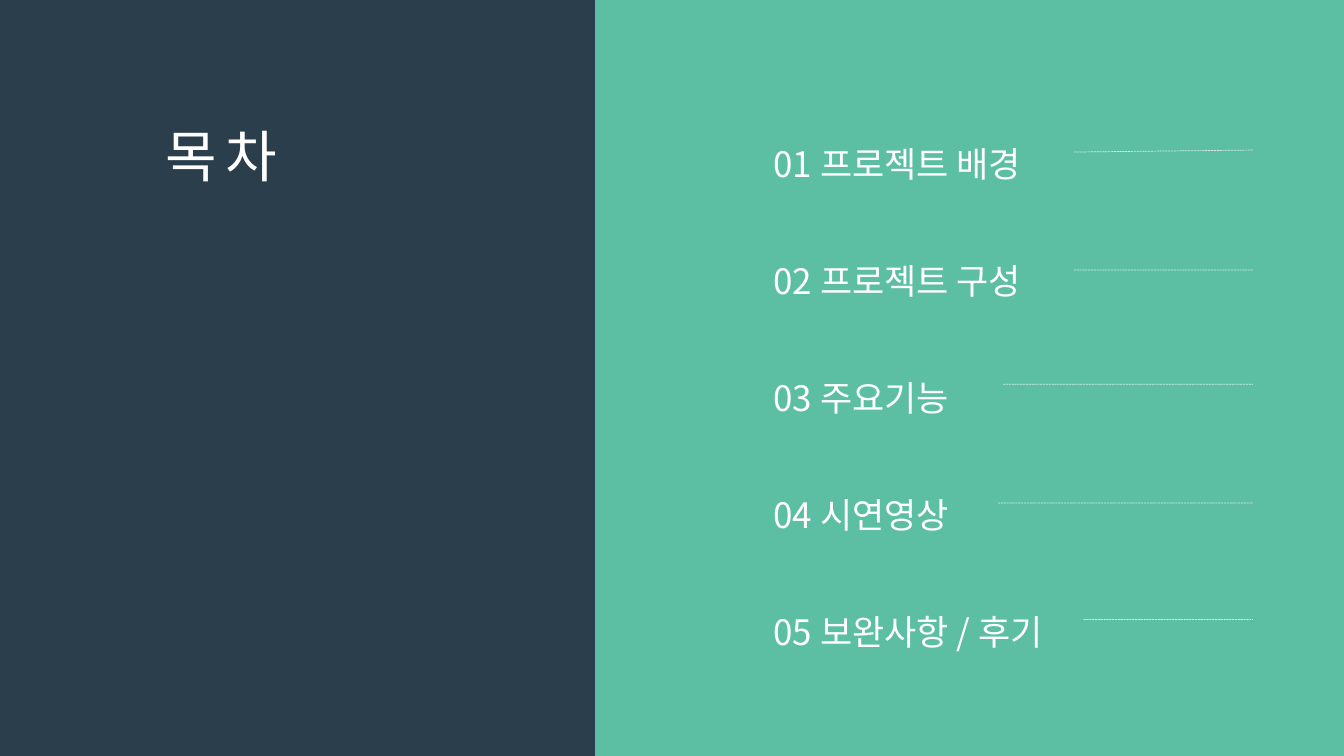
from dataclasses import dataclass

from lxml.etree import SubElement
from pptx import Presentation
from pptx.dml.color import RGBColor as Rgb
from pptx.enum.dml import MSO_LINE as Dash
from pptx.enum.shapes import MSO_CONNECTOR as Conn, MSO_SHAPE as Kind
from pptx.enum.text import MSO_ANCHOR as Anchor, MSO_AUTO_SIZE as Fit, PP_ALIGN as Align
from pptx.oxml.ns import qn
from pptx.util import Pt

COLORS = {"green": "5CBFA3", "navy": "2A3E4C", "white": "FFFFFF"}
FONT = "Noto Sans CJK KR"
LEFT, TOP, STEP = 545.5, 83.5, 83.5
WIDTH, HEIGHT = 246, 47.5
LINE_END = 895


@dataclass
class Item:
    text: str
    start: float
    y: float
    rise: float = 0


ITEMS = [
    Item("01 프로젝트 배경", 767, 108.6, 1.4),
    Item("02 프로젝트 구성", 767, 192.8),
    Item("03 주요기능", 716.5, 274.4),
    Item("04 시연영상", 713, 359.3),
    Item("05 보완사항 / 후기", 774, 442.6),
]


def color(name: str) -> Rgb:
    return Rgb.from_string(COLORS[name])


def style(target, values: dict) -> None:
    for key, value in values.items():
        setattr(target, key, value)


def add_run(par, text: str, size: float, gap: float = 0) -> None:
    """Add white text; gap is the extra letter spacing in points."""
    run = par.add_run()
    run.text = text
    style(run.font, {"size": Pt(size), "name": FONT})
    run.font.color.rgb = color("white")
    props = run._r.get_or_add_rPr()
    SubElement(props, qn("a:ea"), typeface=FONT)
    if gap:
        props.set("spc", str(round(gap * 100)))


def add_label(group, item: Item, top: float) -> None:
    box = group.shapes.add_textbox(Pt(LEFT), Pt(top), Pt(WIDTH), Pt(HEIGHT))
    style(box.text_frame, {"word_wrap": True, "auto_size": Fit.SHAPE_TO_FIT_TEXT})
    par = box.text_frame.paragraphs[0]
    par.line_spacing = 1.5
    add_run(par, item.text, 25)


def add_rule(group, item: Item) -> None:
    rule = group.shapes.add_connector(
        Conn.STRAIGHT, Pt(item.start), Pt(item.y), Pt(LINE_END), Pt(item.y - item.rise))
    rule.line.color.rgb = color("white")
    style(rule.line, {"width": Pt(0.5), "dash_style": Dash.SQUARE_DOT})
    props = rule._element.spPr
    SubElement(props.find(".//" + qn("a:srgbClr")), qn("a:alpha"), val="72000")
    SubElement(props, qn("a:effectLst"))


def add_panel(slide) -> None:
    panel = slide.shapes.add_shape(Kind.RECTANGLE, 0, 0, Pt(425), Pt(540))
    panel.shadow.inherit = False
    panel.fill.solid()
    panel.fill.fore_color.rgb = color("navy")
    panel.line.fill.background()


def set_title(slide) -> None:
    """Format the title and bring it in front of the panel."""
    title = slide.shapes.title
    style(title, {"left": Pt(65), "top": Pt(83.5), "width": Pt(186), "height": Pt(61)})
    style(title.text_frame, {
        "word_wrap": True, "auto_size": Fit.NONE, "vertical_anchor": Anchor.MIDDLE})
    par = title.text_frame.paragraphs[0]
    style(par, {"alignment": Align.CENTER, "line_spacing": 0.9, "space_before": Pt(0)})
    add_run(par, "목 차", 40, -1.5)
    title._element.getparent().append(title._element)


def main() -> None:
    deck = Presentation()
    style(deck, {"slide_width": Pt(960), "slide_height": Pt(540)})
    slide = deck.slides.add_slide(deck.slide_layouts[5])
    back = slide.background.fill
    back.solid()
    back.fore_color.rgb = color("green")
    add_panel(slide)
    set_title(slide)
    for i, item in enumerate(ITEMS):
        group = slide.shapes.add_group_shape()
        add_label(group, item, TOP + i * STEP)
        add_rule(group, item)
    deck.save("out.pptx")


if __name__ == "__main__":
    main()
